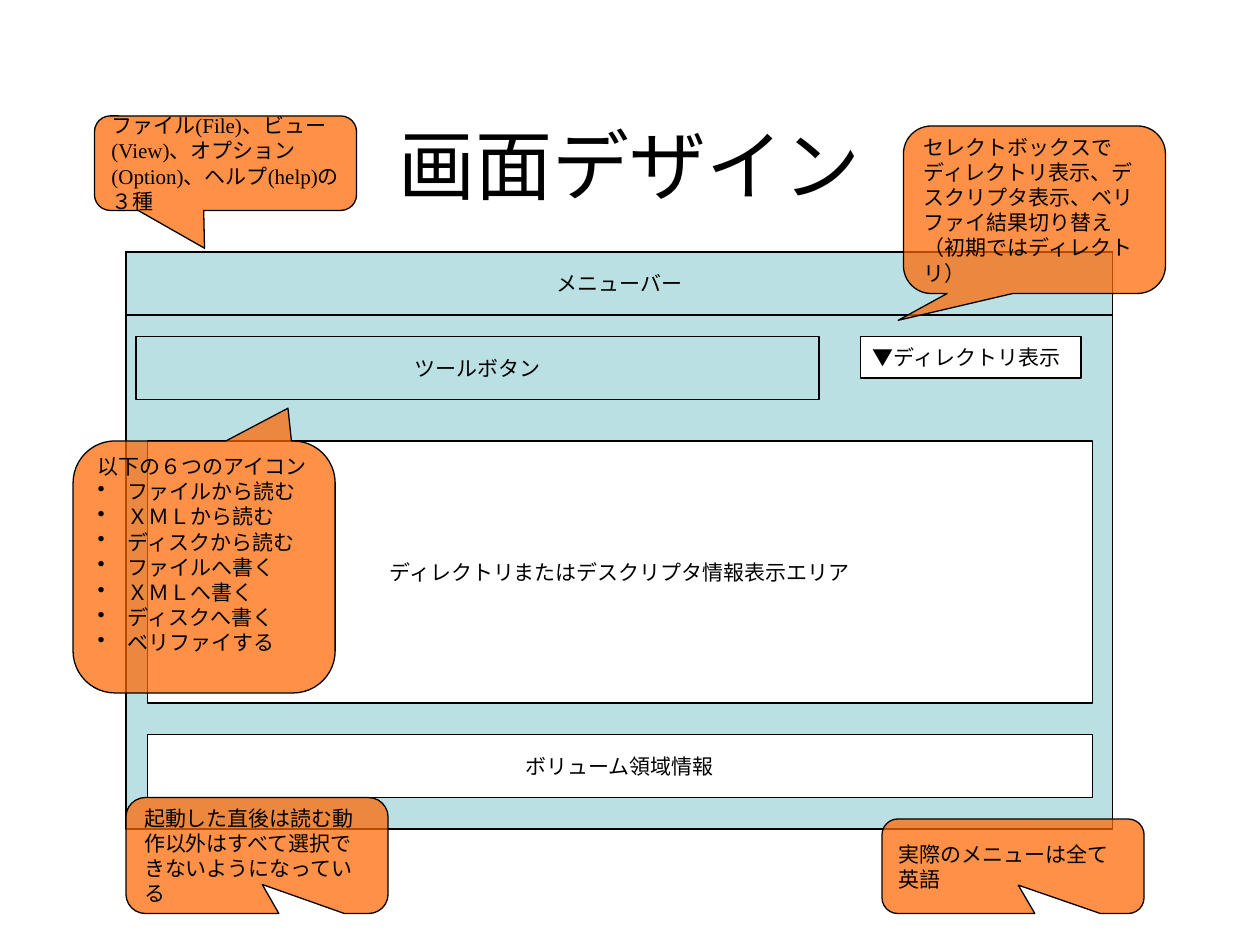
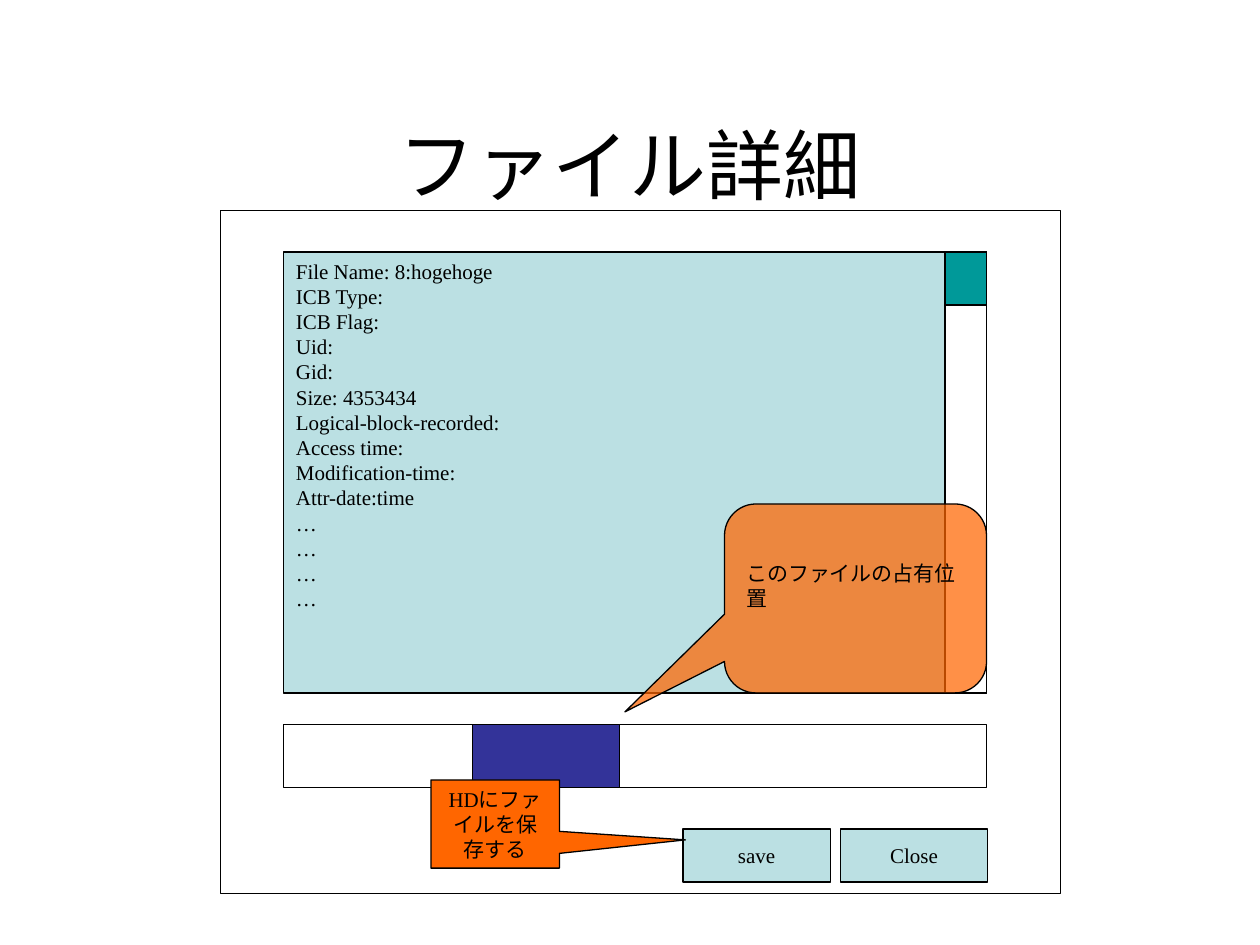
"""Build two slides that sketch a screen layout and a file detail dialog."""
import lxml.etree
import pptx
import pptx.dml.color
import pptx.enum.shapes
import pptx.enum.text
import pptx.oxml.ns
import pptx.util

Inches = pptx.util.Inches
Pt = pptx.util.Pt
RGBColor = pptx.dml.color.RGBColor
MSO_SHAPE = pptx.enum.shapes.MSO_SHAPE
PP_ALIGN = pptx.enum.text.PP_ALIGN
MSO_ANCHOR = pptx.enum.text.MSO_ANCHOR
qn = pptx.oxml.ns.qn

FONT = "Times New Roman"
BLACK = RGBColor(0x00, 0x00, 0x00)
WHITE = RGBColor(0xFF, 0xFF, 0xFF)
PALE = RGBColor(0xBB, 0xE0, 0xE3)
TEAL = RGBColor(0x00, 0x99, 0x99)
NAVY = RGBColor(0x33, 0x33, 0x99)
ORANGE = RGBColor(0xFF, 0x66, 0x00)
CALLOUT = MSO_SHAPE.ROUNDED_RECTANGULAR_CALLOUT
CALLOUT_W = 2.08


def add_text(sp, lines, size=12, align=PP_ALIGN.CENTER, anchor=MSO_ANCHOR.MIDDLE):
    tf = sp.text_frame
    tf.word_wrap = True
    tf.vertical_anchor = anchor
    for i, line in enumerate(lines):
        p = tf.paragraphs[0] if i == 0 else tf.add_paragraph()
        p.alignment = align
        r = p.add_run()
        r.text = line
        r.font.size = Pt(size)
        r.font.name = FONT
        r.font.color.rgb = BLACK
    return tf


def add_box(s, x, y, w, h, fill, shape=MSO_SHAPE.RECTANGLE, tip=None):
    sp = s.shapes.add_shape(shape, Inches(x), Inches(y), Inches(w), Inches(h))
    sp.shadow.inherit = False
    sp.fill.solid()
    sp.fill.fore_color.rgb = fill
    sp.line.color.rgb = BLACK
    sp.line.width = Pt(0.75)
    if tip:
        sp.adjustments[0], sp.adjustments[1] = tip
    if shape == CALLOUT:
        clr = sp.fill._xPr.find(qn("a:solidFill")).find(qn("a:srgbClr"))
        lxml.etree.SubElement(clr, qn("a:alpha")).set("val", "72000")
    return sp


prs = pptx.Presentation()
prs.slide_width = Inches(10)
prs.slide_height = Inches(7.5)

slides = []
for title in ("画面デザイン", "ファイル詳細"):
    s = prs.slides.add_slide(prs.slide_layouts[6])
    sp = s.shapes.add_textbox(Inches(0.75), Inches(0.67), Inches(8.5), Inches(1.25))
    add_text(sp, [title], size=44)
    slides.append(s)
design, detail = slides

add_box(design, 1, 2, 7.83, 4.58, PALE)
for x, y, w, h, fill, label in (
    (1, 2, 7.83, 0.5, PALE, "メニューバー"),
    (1.08, 2.67, 5.42, 0.5, PALE, "ツールボタン"),
    (1.17, 3.5, 7.5, 2.08, WHITE, "ディレクトリまたはデスクリプタ情報表示エリア"),
    (1.17, 5.83, 7.5, 0.5, WHITE, "ボリューム領域情報"),
):
    add_text(add_box(design, x, y, w, h, fill), [label])
select_box = add_box(design, 6.83, 2.67, 1.75, 0.33, WHITE)
add_text(select_box, ["▼ディレクトリ表示"], align=PP_ALIGN.LEFT)

sp = add_box(design, 7.17, 1, CALLOUT_W, 1.33, ORANGE, CALLOUT, (-0.52, 0.66))
add_text(sp, ["セレクトボックスでディレクトリ表示、デスクリプタ表示、ベリファイ結果切り替え",
              "（初期ではディレクトリ）"], align=PP_ALIGN.LEFT)

icons = ["ファイルから読む", "ＸＭＬから読む", "ディスクから読む", "ファイルへ書く",
         "ＸＭＬへ書く", "ディスクへ書く", "ベリファイする"]
sp = add_box(design, 0.58, 3.5, CALLOUT_W, 2, ORANGE, CALLOUT, (0.32, -0.63))
tf = add_text(sp, ["以下の６つのアイコン"] + icons, align=PP_ALIGN.LEFT)
tf.margin_bottom = Inches(0.25)
for p in tf.paragraphs[1:]:
    pPr = p._p.get_or_add_pPr()
    pPr.set("marL", str(Inches(0.24)))
    pPr.set("indent", str(-Inches(0.24)))
    lxml.etree.SubElement(pPr, qn("a:buChar")).set("char", "•")

for x, y, h, tip, note in (
    (0.75, 0.92, 0.75, (-0.08, 0.9),
     "ファイル(File)、ビュー(View)、オプション(Option)、ヘルプ(help)の３種"),
    (7, 6.5, 0.75, (0.02, 0.2), "実際のメニューは全て英語"),
    (1, 6.33, 0.92, (0.02, 0.25), "起動した直後は読む動作以外はすべて選択できないようになっている"),
):
    sp = add_box(design, x, y, CALLOUT_W, h, ORANGE, CALLOUT, tip)
    add_text(sp, [note], align=PP_ALIGN.LEFT)

add_box(detail, 1.75, 1.67, 6.67, 5.42, WHITE)
fields = ["File Name: 8:hogehoge", "ICB Type:", "ICB Flag:", "Uid:", "Gid:",
          "Size: 4353434", "Logical-block-recorded:", "Access time:",
          "Modification-time:", "Attr-date:time"] + ["…"] * 4
info = add_box(detail, 2.25, 2, 5.58, 3.5, PALE)
add_text(info, fields, align=PP_ALIGN.LEFT, anchor=MSO_ANCHOR.TOP)
for x, y, w, h, fill in (
    (7.5, 2, 0.33, 3.5, WHITE),
    (7.5, 2, 0.33, 0.42, TEAL),
    (2.25, 5.75, 5.58, 0.5, WHITE),
    (3.75, 5.75, 1.17, 0.5, NAVY),
):
    add_box(detail, x, y, w, h, fill)

sp = add_box(detail, 5.75, 4, CALLOUT_W, 1.5, ORANGE, CALLOUT, (-0.88, 0.6))
tf = add_text(sp, ["このファイルの占有位置"], align=PP_ALIGN.LEFT)
tf.margin_bottom = Inches(0.25)

for i, label in enumerate(("save", "Close")):
    add_text(add_box(detail, 5.42 + 1.25 * i, 6.58, 1.17, 0.42, PALE), [label])

sp = add_box(detail, 3.42, 6.19, 1.02, 0.7, ORANGE,
             MSO_SHAPE.RECTANGULAR_CALLOUT, (1.48, 0.18))
add_text(sp, ["HDにファイルを保存する"])

prs.save("out.pptx")
